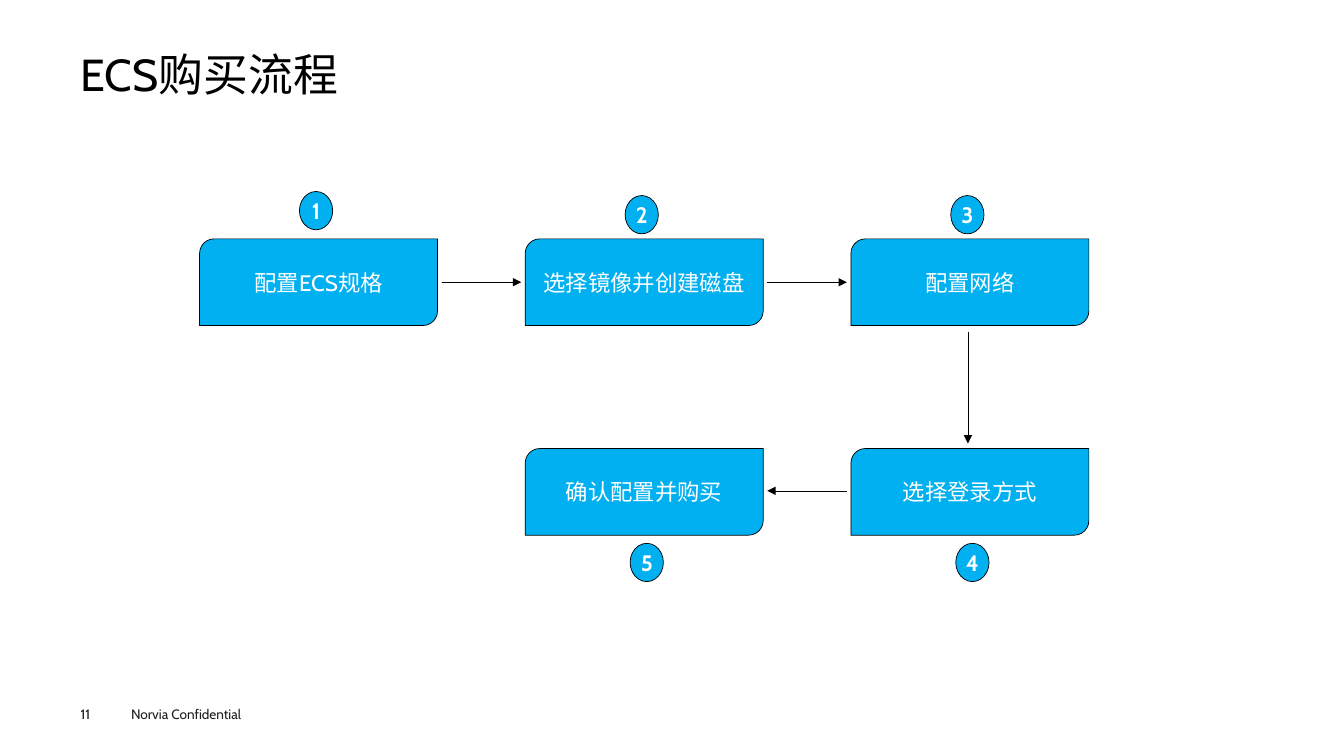
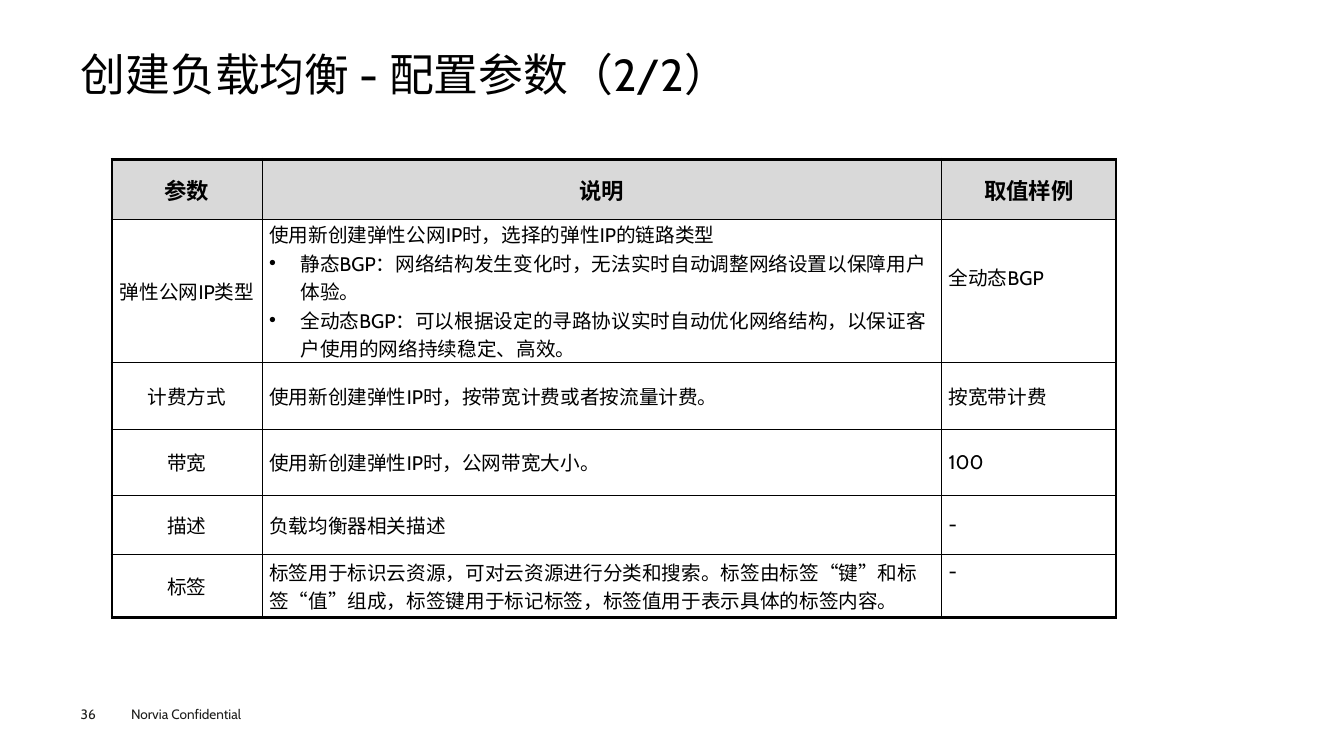
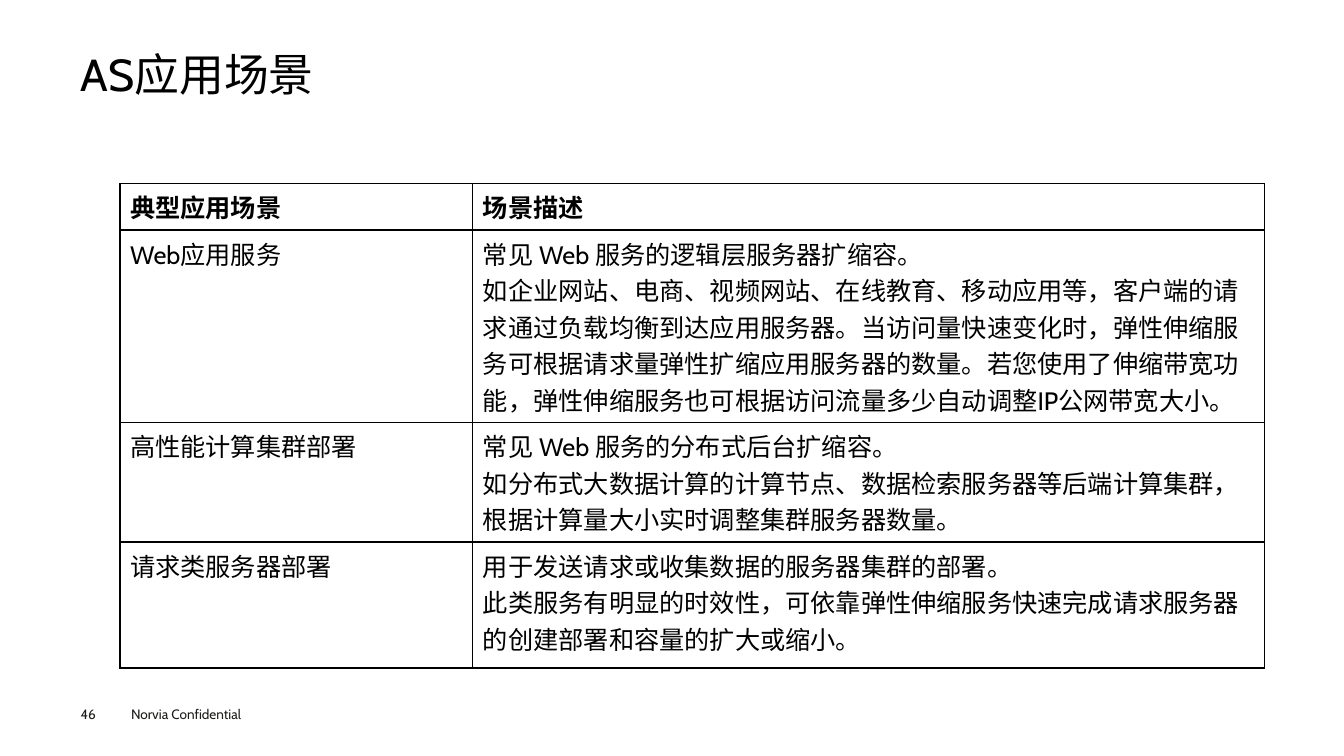
import lxml.etree
import pptx
import pptx.dml.color
import pptx.enum.shapes
import pptx.enum.text
import pptx.oxml.ns
import pptx.util

Inches = pptx.util.Inches
Pt = pptx.util.Pt
Shape = pptx.enum.shapes.MSO_SHAPE
Align = pptx.enum.text.PP_ALIGN
Anchor = pptx.enum.text.MSO_ANCHOR

FONT = "Cabin"
BLACK, WHITE, BLUE, GREY, INK = "000000", "FFFFFF", "00B0F0", "D9D9D9", "1D1D1B"
FOOTER = "Norvia Confidential"
BULLET = "• "


def color(value):
    return pptx.dml.color.RGBColor.from_string(value)


def add_element(parent, tag, **attributes):
    """Append a DrawingML element and return it."""
    return lxml.etree.SubElement(parent, pptx.oxml.ns.qn(tag), attributes)


class Deck:
    def __init__(self):
        self.deck = pptx.Presentation()
        self.deck.slide_width = Inches(13.33)
        self.deck.slide_height = Inches(7.5)
        self.page = None

    def add_page(self, title, number):
        self.page = self.deck.slides.add_slide(self.deck.slide_layouts[5])
        box = self.page.shapes.title
        box.left, box.top = Inches(0.8), Inches(0.49)
        box.width, box.height = Inches(11.73), Inches(0.54)
        self.set_text(box.text_frame, title, 32, inset=0, anchor=Anchor.MIDDLE)
        box.text_frame.paragraphs[0].line_spacing = 0.9
        self.add_label(FOOTER, 1.3, 7, 1.5, 0.16)
        self.add_label(str(number), 0.8, 7, 0.5, 0.16)

    def set_text(self, frame, text, size, ink=BLACK, bold=False, align=Align.LEFT,
                 inset=0.05, anchor=Anchor.TOP):
        frame.word_wrap = True
        frame.auto_size = pptx.enum.text.MSO_AUTO_SIZE.NONE
        frame.vertical_anchor = anchor
        frame.margin_left = frame.margin_right = Inches(inset)
        frame.margin_top = frame.margin_bottom = Inches(inset)
        self.add_paragraphs(frame, text, size, ink, bold, align)

    def add_paragraphs(self, frame, text, size, ink, bold, align):
        """Add one paragraph a line; a leading bullet makes a list item."""
        for index, line in enumerate(text.split("\n")):
            para = frame.add_paragraph() if index else frame.paragraphs[0]
            para.alignment = align
            if line.startswith(BULLET):
                line = line.removeprefix(BULLET)
                properties = para._p.get_or_add_pPr()
                properties.set("marL", str(Inches(0.31)))
                properties.set("indent", str(-Inches(0.31)))
                add_element(properties, "a:buFont", typeface="Arial")
                add_element(properties, "a:buChar", char="•")
            span = para.add_run()
            span.text = line
            span.font.name = FONT
            span.font.size = Pt(size)
            span.font.bold = bold
            span.font.color.rgb = color(ink)

    def add_label(self, text, left, top, width, height):
        box = self.page.shapes.add_textbox(
            Inches(left), Inches(top), Inches(width), Inches(height))
        self.set_text(box.text_frame, text, 9.7, INK, inset=0)

    def add_block(self, kind, text, left, top, width, height, bold=False, inset=0.05):
        block = self.page.shapes.add_shape(
            kind, Inches(left), Inches(top), Inches(width), Inches(height))
        block.shadow.inherit = False
        block.fill.solid()
        block.fill.fore_color.rgb = color(BLUE)
        block.line.color.rgb = color(BLACK)
        block.line.width = Pt(0.5)
        self.set_text(block.text_frame, text, 16, WHITE, bold, Align.CENTER, inset,
                      Anchor.MIDDLE)

    def add_arrow(self, start, end):
        arrow = self.page.shapes.add_connector(
            pptx.enum.shapes.MSO_CONNECTOR.STRAIGHT, *map(Inches, start + end))
        arrow.line.color.rgb = color(BLACK)
        arrow.line.width = Pt(0.5)
        properties = arrow._element.spPr
        add_element(properties.get_or_add_ln(), "a:tailEnd", type="triangle")
        add_element(properties, "a:effectLst")

    def add_table(self, left, top, widths, heights):
        """Add a plain table without a banded style and return it."""
        frame = self.page.shapes.add_table(
            len(heights), len(widths), Inches(left), Inches(top),
            Inches(sum(widths)), Inches(sum(heights)))
        table = frame.table
        table.first_row = table.horz_banding = False
        for column, width in zip(table.columns, widths):
            column.width = Inches(width)
        for row, height in zip(table.rows, heights):
            row.height = Inches(height)
        return table

    def fill_cell(self, cell, text, size, bold, align, fill, borders):
        """Fill a cell; borders holds the left, right, top and bottom widths."""
        properties = cell._tc.get_or_add_tcPr()
        for side, width in zip("LRTB", borders):
            border = add_element(properties, f"a:ln{side}", w=str(Pt(width)))
            add_element(add_element(border, "a:solidFill"), "a:srgbClr", val=BLACK)
        if fill:
            cell.fill.solid()
            cell.fill.fore_color.rgb = color(fill)
        else:
            cell.fill.background()
        self.add_paragraphs(cell.text_frame, text, size, BLACK, bold, align)


def add_purchase_flow(deck):
    deck.add_page("ECS购买流程", 11)
    columns = [1.98 + 3.23 * index for index in range(3)]
    upper, lower = 2.37, 4.45
    steps = [
        ("配置ECS规格", 0, upper, 1.9),
        ("选择镜像并创建磁盘", 1, upper, 1.94),
        ("配置网络", 2, upper, 1.94),
        ("选择登录方式", 2, lower, 5.39),
        ("确认配置并购买", 1, lower, 5.39),
    ]
    for number, (text, column, top, badge_top) in enumerate(steps, 1):
        left = columns[column]
        badge_left = left + (0.99 if top == upper else 1.04)
        deck.add_block(Shape.ROUND_2_DIAG_RECTANGLE, text, left, top, 2.36, 0.86)
        deck.add_block(Shape.OVAL, str(number), badge_left, badge_top, 0.33, 0.38,
                       bold=True, inset=0)
    for start, end in [
        ((4.38, 2.8), (5.17, 2.8)),
        ((7.61, 2.8), (8.4, 2.8)),
        ((9.6, 3.29), (9.6, 4.4)),
        ((8.4, 4.87), (7.61, 4.87)),
    ]:
        deck.add_arrow(start, end)


def add_parameters(deck):
    deck.add_page("创建负载均衡 - 配置参数（2/2）", 36)
    rows = [
        ("参数", "说明", "取值样例"),
        ("弹性公网IP类型",
         "使用新创建弹性公网IP时，选择的弹性IP的链路类型\n"
         "• 静态BGP：网络结构发生变化时，无法实时自动调整网络设置以保障用户体验。\n"
         "• 全动态BGP：可以根据设定的寻路协议实时自动优化网络结构，以保证客户使用的网络持续稳定、高效。",
         "全动态BGP"),
        ("计费方式", "使用新创建弹性IP时，按带宽计费或者按流量计费。", "按宽带计费"),
        ("带宽", "使用新创建弹性IP时，公网带宽大小。", "100"),
        ("描述", "负载均衡器相关描述", "-"),
        ("标签",
         "标签用于标识云资源，可对云资源进行分类和搜索。标签由标签“键”和标签“值”组成，"
         "标签键用于标记标签，标签值用于表示具体的标签内容。",
         "-"),
    ]
    table = deck.add_table(1.11, 1.58, [1.49, 6.74, 1.73], [0.6, 1.27, 0.66, 0.66, 0.58, 0.63])
    last_row, last_column = len(rows) - 1, 2
    raised_cells = {(1, last_column), (last_row, last_column)}
    for row, texts in enumerate(rows):
        header = row == 0
        for column, text in enumerate(texts):
            on_edge = (column == 0, column == last_column, header, row == last_row)
            cell = table.cell(row, column)
            deck.fill_cell(cell, text, 16 if header else 14, header,
                           Align.CENTER if header or column == 0 else Align.LEFT,
                           GREY if header else None,
                           [2.25 if edge else 1 for edge in on_edge])
            cell.vertical_anchor = Anchor.MIDDLE
            cell.margin_left = cell.margin_right = Inches(0.07)
            cell.margin_top = 0
            cell.margin_bottom = Inches(0.28 if (row, column) in raised_cells else 0)


def add_scenarios(deck):
    deck.add_page("AS应用场景", 46)
    rows = [
        ("典型应用场景", "场景描述"),
        ("Web应用服务",
         "常见 Web 服务的逻辑层服务器扩缩容。\n"
         "如企业网站、电商、视频网站、在线教育、移动应用等，客户端的请求通过负载均衡到达应用服务器。"
         "当访问量快速变化时，弹性伸缩服务可根据请求量弹性扩缩应用服务器的数量。"
         "若您使用了伸缩带宽功能，弹性伸缩服务也可根据访问流量多少自动调整IP公网带宽大小。"),
        ("高性能计算集群部署",
         "常见 Web 服务的分布式后台扩缩容。\n"
         "如分布式大数据计算的计算节点、数据检索服务器等后端计算集群，"
         "根据计算量大小实时调整集群服务器数量。"),
        ("请求类服务器部署",
         "用于发送请求或收集数据的服务器集群的部署。\n"
         "此类服务有明显的时效性，可依靠弹性伸缩服务快速完成请求服务器的创建部署和容量的扩大或缩小。"),
    ]
    table = deck.add_table(1.19, 1.82, [3.5, 7.85], [0.39, 1.84, 1.15, 1.25])
    for row, texts in enumerate(rows):
        for column, text in enumerate(texts):
            deck.fill_cell(table.cell(row, column), text, 18, row == 0, Align.LEFT,
                           WHITE, [1] * 4)


def main():
    deck = Deck()
    add_purchase_flow(deck)
    add_parameters(deck)
    add_scenarios(deck)
    deck.deck.save("out.pptx")


if __name__ == "__main__":
    main()
